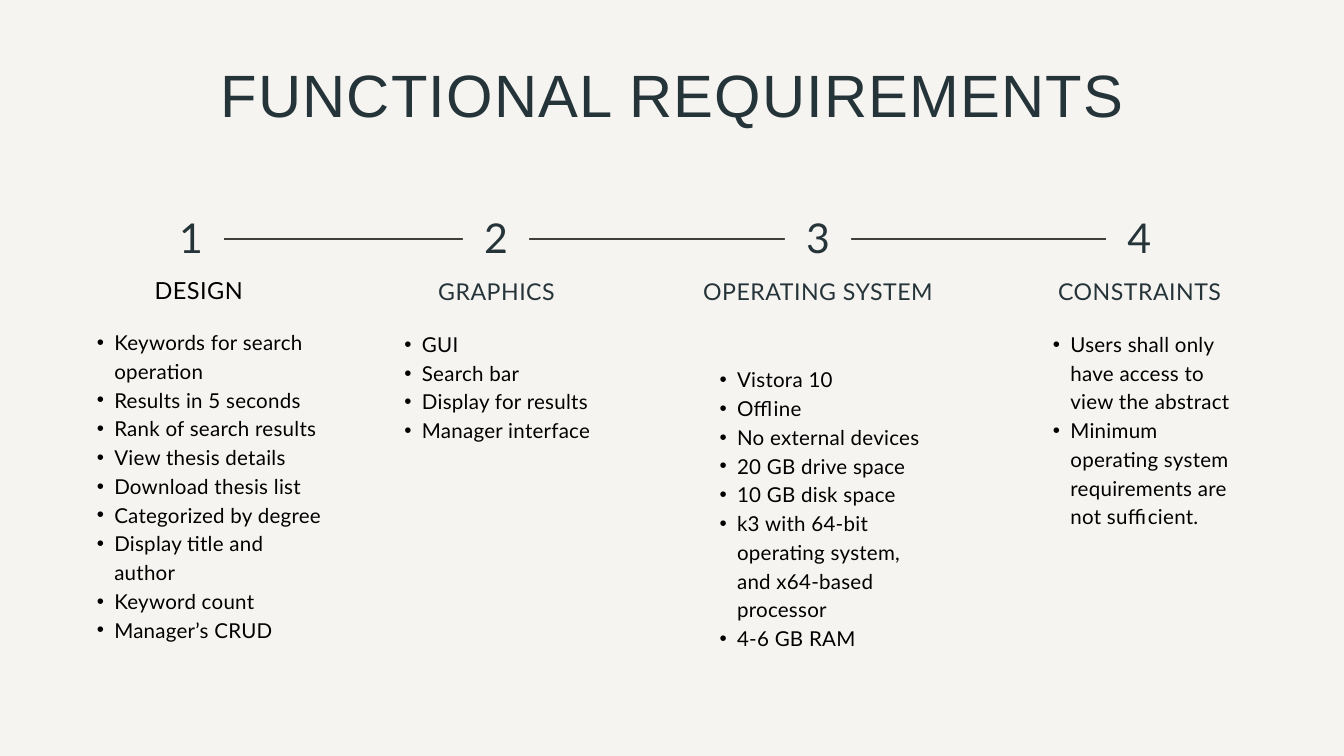
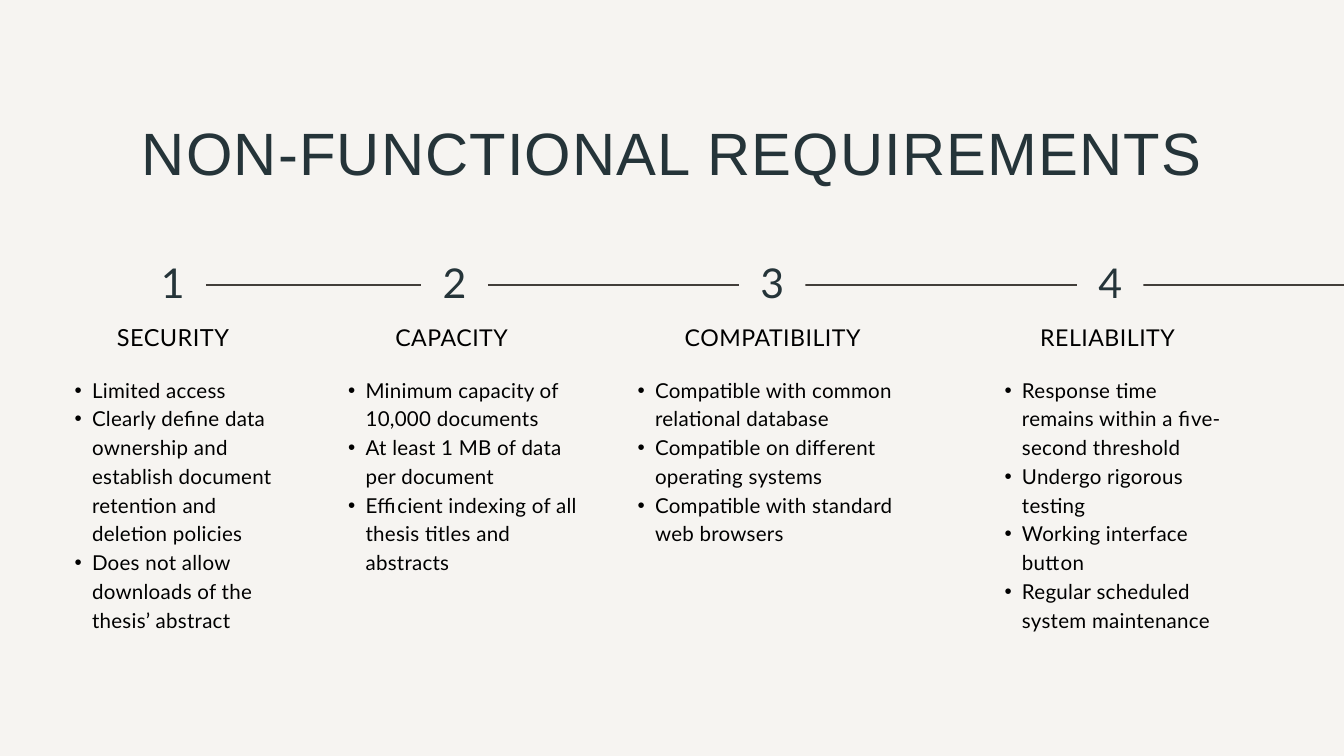
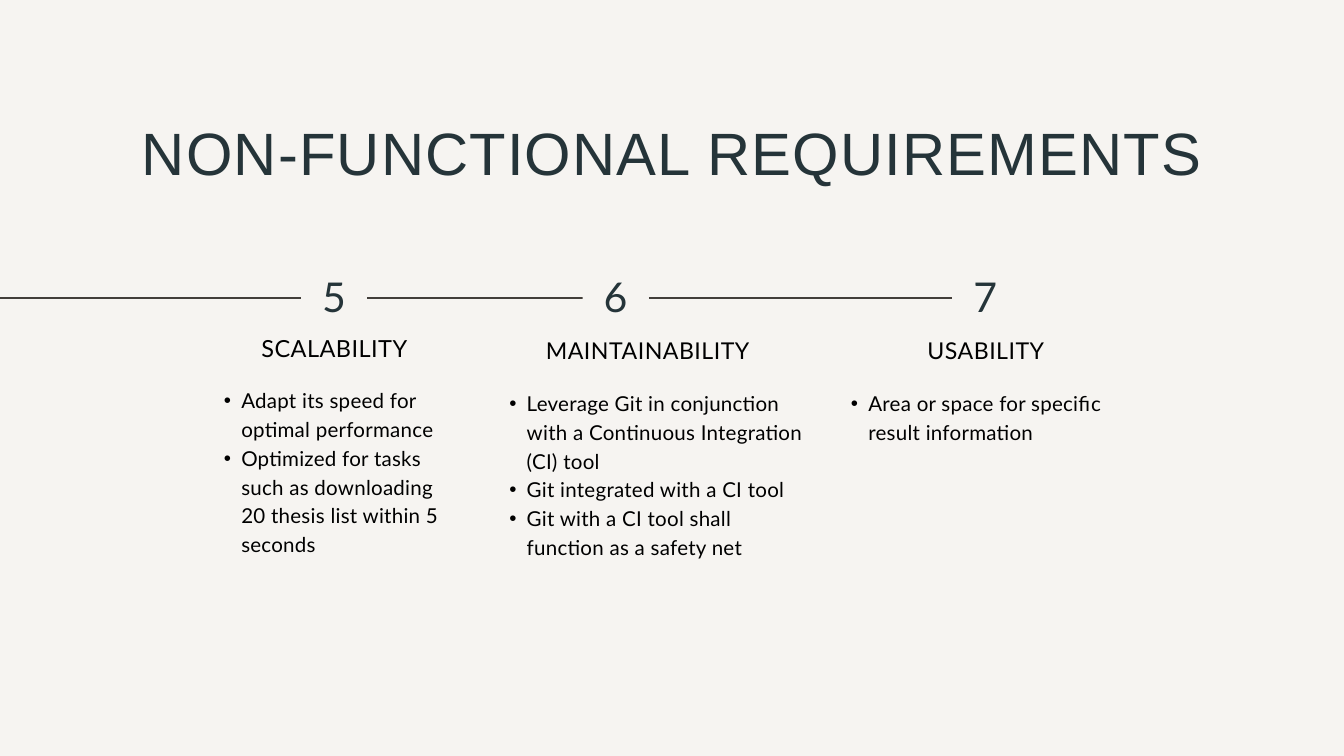
"""Build three requirement slides with numbered timelines and bullet columns."""
from lxml import etree
from pptx import Presentation
from pptx.dml.color import RGBColor
from pptx.enum.shapes import MSO_CONNECTOR, MSO_SHAPE
from pptx.enum.text import MSO_ANCHOR, MSO_AUTO_SIZE, PP_ALIGN
from pptx.oxml.ns import qn
from pptx.util import Cm, Pt

STRAIGHT = MSO_CONNECTOR.STRAIGHT
RECTANGLE = MSO_SHAPE.RECTANGLE
CENTER, LEFT = PP_ALIGN.CENTER, PP_ALIGN.LEFT
MIDDLE, TOP = MSO_ANCHOR.MIDDLE, MSO_ANCHOR.TOP
FIT_TEXT = MSO_AUTO_SIZE.SHAPE_TO_FIT_TEXT

PAPER, SLATE, BLACK, RULE = "F6F4F1", "253439", "000000", "423E3A"
SLIDE_WIDTH, SLIDE_HEIGHT = 50.8, 28.58
NUMBER_WIDTH, NUMBER_HEIGHT, NUMBER_RISE = 2.5, 3.33, 1.91
PLATE_HEIGHT, PLATE_RISE = 2.8, 1.4
HEADING_DROP, HEADING_HEIGHT, LIST_GAP = 1.27, 1.4, 0.68
LINE_HEIGHT = 1.09
BULLET_INDENT, BULLET_HANG = 1.32, 0.66

TITLE_STYLE = {"font": "Arial", "size": 64, "spacing": 1.3, "leading": 67.2, "color": SLATE}
NUMBER_STYLE = {"font": "Lato", "size": 44, "spacing": 0.9, "leading": 61.6, "color": SLATE}
HEADING_STYLE = {"font": "Lato", "size": 24.8, "spacing": 0.5, "leading": 34.7, "color": BLACK}
FIRST_HEADING_STYLE = {**HEADING_STYLE, "size": 25.2, "leading": 35.3}
DARK_HEADING_STYLE = {**HEADING_STYLE, "color": SLATE}
LIST_STYLE = {"font": "Lato", "size": 22, "spacing": 0.3, "leading": 30.8, "color": BLACK}


def column(number_left, left, width, heading, lines, items, **options):
    """Describe one numbered column."""
    return {"number_left": number_left, "left": left, "width": width, "heading": heading,
            "lines": lines, "items": items, "style": HEADING_STYLE,
            "lift": 0, "heading_height": HEADING_HEIGHT, **options}


SLIDES = [
    {"title": "FUNCTIONAL REQUIREMENTS", "title_top": 2.54, "line_y": 9.04, "first": 1, "columns": [
        column(5.97, 3, 9.27, "DESIGN ", 13, [
            "Keywords for search operation", "Results in 5 seconds", "Rank of search results",
            "View thesis details", "Download thesis list", "Categorized by degree",
            "Display title and author", "Keyword count", "Manager’s CRUD",
        ], style=FIRST_HEADING_STYLE, lift=0.07),
        column(17.5, 14.63, 8.28, "GRAPHICS", 4, [
            "GUI", "Search bar", "Display for results", "Manager interface",
        ], style=DARK_HEADING_STYLE),
        column(29.67, 26.54, 8.76, "OPERATING SYSTEM", 10, [
            "Vistora 10", "Offline", "No external devices", "20 GB drive space",
            "10 GB disk space", "k3 with 64-bit operating system, and x64-based processor",
            "4-6 GB RAM",
        ], style=DARK_HEADING_STYLE, heading_height=2.74),
        column(41.81, 39.14, 7.87, "CONSTRAINTS", 7, [
            "Users shall only have access to view the abstract",
            "Minimum operating system requirements are not sufficient.",
        ], style=DARK_HEADING_STYLE),
    ]},
    {"title": "NON-FUNCTIONAL REQUIREMENTS", "title_top": 4.7, "line_y": 10.77, "first": 1,
     "runs_out": True, "columns": [
        column(5.28, 2.16, 8.76, "SECURITY", 9, [
            "Limited access",
            "Clearly define data ownership and establish document retention and deletion policies",
            "Does not allow downloads of the thesis’ abstract",
        ], style=FIRST_HEADING_STYLE),
        column(15.93, 12.5, 9.35, "CAPACITY ", 7, [
            "Minimum capacity of 10,000 documents", "At least 1 MB of data per document",
            "Efficient indexing of all thesis titles and abstracts",
        ]),
        column(27.94, 23.44, 11.53, "COMPATIBILITY", 6, [
            "Compatible with common relational database",
            "Compatible on different operating systems",
            "Compatible with standard web browsers",
        ]),
        column(40.72, 37.31, 9.32, "RELIABILITY ", 9, [
            "Response time remains within a five-second threshold", "Undergo rigorous testing",
            "Working interface button", "Regular scheduled system maintenance",
        ]),
     ]},
    {"title": "NON-FUNCTIONAL REQUIREMENTS", "title_top": 4.7, "line_y": 11.28, "first": 5,
     "runs_in": True, "columns": [
        column(11.38, 7.8, 9.68, "SCALABILITY", 6, [
            "Adapt its speed for optimal performance",
            "Optimized for tasks such as downloading 20 thesis list within 5 seconds",
        ], style=FIRST_HEADING_STYLE, lift=0.1),
        column(22.02, 18.59, 11.79, "MAINTAINABILITY", 6, [
            "Leverage Git in conjunction with a Continuous Integration (CI) tool",
            "Git integrated with a CI tool", "Git with a CI tool shall function as a safety net",
        ]),
        column(35.99, 31.5, 11.53, "USABILITY", 2, [
            "Area or space for specific result information",
        ]),
     ]},
]


def rgb(color):
    """Turn a hex string into a colour."""
    return RGBColor.from_string(color)


def add_bullet(paragraph):
    """Give a paragraph a hanging round bullet."""
    paragraph.level = 1
    properties = paragraph._p.get_or_add_pPr()
    properties.set("marL", str(Cm(BULLET_INDENT)))
    properties.set("indent", str(-Cm(BULLET_HANG)))
    etree.SubElement(properties, qn("a:buFont")).set("typeface", "Arial")
    etree.SubElement(properties, qn("a:buChar")).set("char", "•")


def add_text(slide, left, top, width, height, texts, style, bulleted=False, anchor=TOP):
    """Add a text box with one paragraph per text."""
    shape = slide.shapes.add_textbox(Cm(left), Cm(top), Cm(width), Cm(height))
    frame = shape.text_frame
    frame.word_wrap = True
    frame.vertical_anchor = anchor
    frame.margin_left = frame.margin_top = frame.margin_right = frame.margin_bottom = 0
    if anchor == TOP:
        frame.auto_size = FIT_TEXT
    for index, text in enumerate(texts):
        paragraph = frame.add_paragraph() if index else frame.paragraphs[0]
        if bulleted:
            add_bullet(paragraph)
        paragraph.alignment = LEFT if bulleted else CENTER
        paragraph.line_spacing = Pt(style["leading"])
        run = paragraph.add_run()
        run.text = text
        run.font.name = style["font"]
        run.font.size = Pt(style["size"])
        run.font.color.rgb = rgb(style["color"])
        run._r.get_or_add_rPr().set("spc", str(round(style["spacing"] * 100)))


def add_rule(slide, start, end, y):
    """Add a horizontal timeline segment."""
    connector = slide.shapes.add_connector(STRAIGHT, Cm(start), Cm(y), Cm(end), Cm(y))
    connector.line.color.rgb = rgb(RULE)
    connector.line.width = Pt(2.25)
    etree.SubElement(connector._element.spPr, qn("a:effectLst"))


def add_timeline(slide, content):
    """Add the segments and the numbers between them."""
    y = content["line_y"]
    lefts = [part["number_left"] for part in content["columns"]]
    starts = [left + NUMBER_WIDTH for left in lefts]
    segments = list(zip(starts, lefts[1:]))
    if content.get("runs_in"):
        segments.append((0, lefts[0]))
    if content.get("runs_out"):
        segments.append((starts[-1], SLIDE_WIDTH))
    for start, end in segments:
        add_rule(slide, start, end, y)
    for index, left in enumerate(lefts):
        if index:
            plate = slide.shapes.add_shape(RECTANGLE, Cm(left), Cm(y - PLATE_RISE),
                                           Cm(NUMBER_WIDTH), Cm(PLATE_HEIGHT))
            plate.shadow.inherit = False
            plate.fill.solid()
            plate.fill.fore_color.rgb = rgb(PAPER)
            plate.line.fill.background()
        add_text(slide, left, y - NUMBER_RISE, NUMBER_WIDTH, NUMBER_HEIGHT,
                 [str(content["first"] + index)], NUMBER_STYLE, anchor=MIDDLE)


def add_column(slide, part, line_y):
    """Add a heading and its bullet list."""
    top = line_y + HEADING_DROP - part["lift"]
    add_text(slide, part["left"], top, part["width"], part["heading_height"],
             [part["heading"]], part["style"])
    add_text(slide, part["left"], top + part["heading_height"] + LIST_GAP, part["width"],
             part["lines"] * LINE_HEIGHT, part["items"], LIST_STYLE, bulleted=True)


def main():
    """Build and save the presentation."""
    presentation = Presentation()
    presentation.slide_width = Cm(SLIDE_WIDTH)
    presentation.slide_height = Cm(SLIDE_HEIGHT)
    for content in SLIDES:
        slide = presentation.slides.add_slide(presentation.slide_layouts[6])
        slide.background.fill.solid()
        slide.background.fill.fore_color.rgb = rgb(PAPER)
        add_timeline(slide, content)
        add_text(slide, 3, content["title_top"], 44.83, 2.46, [content["title"]], TITLE_STYLE)
        for part in content["columns"]:
            add_column(slide, part, content["line_y"])
    presentation.save("out.pptx")


if __name__ == "__main__":
    main()
